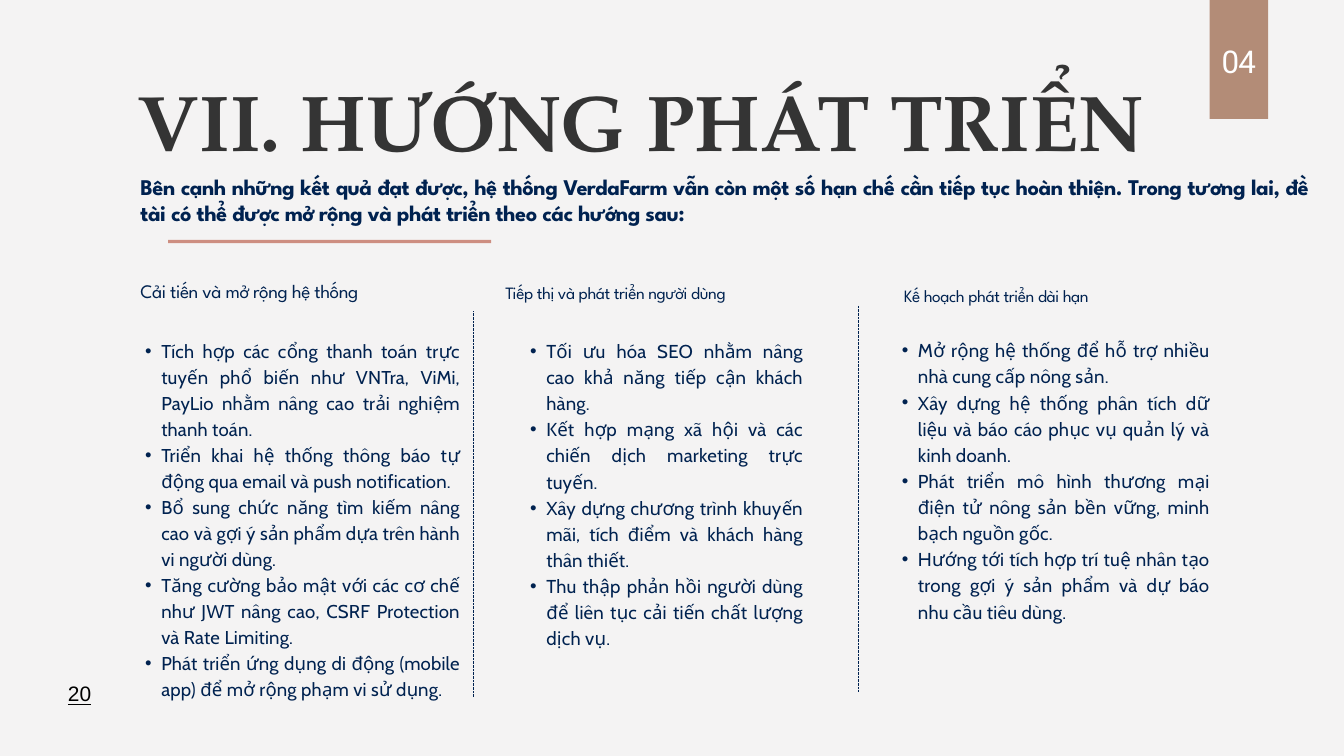
from collections import namedtuple
from dataclasses import dataclass

from lxml import etree
from pptx import Presentation
from pptx import util as u
from pptx.dml import color
from pptx.enum import dml, shapes, text
from pptx.oxml import ns

WIDE, HIGH = u.Inches(20), u.Inches(11.25)
COLS, ROWS = 20, 45

Box = namedtuple("Box", "x y w h")
Type = namedtuple("Type", "font size lead tint track bold line", defaults=(0, False, False))


@dataclass(frozen=True)
class Theme:
    back: str = "F4F3F3"
    navy: str = "002250"
    rose: str = "CD8E81"
    tan: str = "B38C77"
    title: Type = Type("TeX Gyre Pagella", 84.7, 118.6, "343434", 0, True)
    intro: Type = Type("League Spartan", 24, 28.3, "002250", -0.5, True)
    large: Type = Type("League Spartan", 20.5, 24.2, "002250", -0.4)
    small: Type = Type("League Spartan", 18.5, 21.9, "002250", -0.4)
    dense: Type = Type("Cabin", 19.9, 27.9, "002250", 0.2)
    body: Type = Type("Cabin", 20, 28, "002250", 0.2)
    tag: Type = Type("Roboto", 33.6, 32.6, "FFFFFF", -1.1)
    page: Type = Type("Arial", 22.4, 31.4, "000000", 0, False, True)


THEME = Theme()
JUST, MID = text.PP_ALIGN.JUSTIFY, text.PP_ALIGN.CENTER

COLUMNS = [
    dict(
        box=Box(1.93, 20, 4.92, 23.08), head="Cải tiến và mở rộng hệ thống",
        shift=(0.16, -3.36), width=4.42, kinds=(THEME.large, THEME.dense), rule=(5.12, -1.48),
        items=[
            "Tích hợp các cổng thanh toán trực tuyến phổ biến như VNTra, ViMi, PayLio nhằm nâng cao trải nghiệm thanh toán.",
            "Triển khai hệ thống thông báo tự động qua email và push notification.",
            "Bổ sung chức năng tìm kiếm nâng cao và gợi ý sản phẩm dựa trên hành vi người dùng.",
            "Tăng cường bảo mật với các cơ chế như JWT nâng cao, CSRF Protection và Rate Limiting.",
            "Phát triển ứng dụng di động (mobile app) để mở rộng phạm vi sử dụng.",
        ],
    ),
    dict(
        box=Box(7.66, 20, 4.29, 16.92), head="Tiếp thị và phát triển người dùng",
        shift=(-0.14, -3.2), width=4.57, kinds=(THEME.small, THEME.body), rule=(5.11, -1.8),
        items=[
            "Tối ưu hóa SEO nhằm nâng cao khả năng tiếp cận khách hàng.",
            "Kết hợp mạng xã hội và các chiến dịch marketing trực tuyến.",
            "Xây dựng chương trình khuyến mãi, tích điểm và khách hàng thân thiết.",
            "Thu thập phản hồi người dùng để liên tục cải tiến chất lượng dịch vụ.",
        ],
    ),
    dict(
        box=Box(13.19, 19.96, 4.81, 18.48), head="Kế hoạch phát triển dài hạn",
        shift=(0.26, -2.96), width=3.76, kinds=(THEME.small, THEME.body), rule=None,
        items=[
            "Mở rộng hệ thống để hỗ trợ nhiều nhà cung cấp nông sản.",
            "Xây dựng hệ thống phân tích dữ liệu và báo cáo phục vụ quản lý và kinh doanh.",
            "Phát triển mô hình thương mại điện tử nông sản bền vững, minh bạch nguồn gốc.",
            "Hướng tới tích hợp trí tuệ nhân tạo trong gợi ý sản phẩm và dự báo nhu cầu tiêu dùng.",
        ],
    ),
]


def col(n):
    return round(WIDE * n / COLS)


def row(n):
    return round(HIGH * n / ROWS)


def place(box):
    return col(box.x), row(box.y), col(box.w), row(box.h)


def rgb(code):
    return color.RGBColor.from_string(code)


def bullet(para):
    para.level = 1
    props = para._p.get_or_add_pPr()
    props.set("marL", str(col(0.47)))
    props.set("indent", str(col(-0.24)))
    etree.SubElement(props, ns.qn("a:buFont")).set("typeface", "Arial")
    etree.SubElement(props, ns.qn("a:buChar")).set("char", "•")


def fill_text(shape, lines, kind, align=JUST, dots=False):
    frame = shape.text_frame
    frame.text = "\n".join(lines)
    frame.word_wrap = True
    frame.auto_size = text.MSO_AUTO_SIZE.NONE
    frame.vertical_anchor = text.MSO_ANCHOR.TOP
    frame.margin_left = frame.margin_right = frame.margin_top = frame.margin_bottom = 0
    for para in frame.paragraphs:
        if dots:
            bullet(para)
        para.alignment = align
        para.line_spacing = u.Pt(kind.lead)
        para.space_before = u.Pt(0)
        for run in para.runs:
            font = run.font
            font.name, font.size, font.bold = kind.font, u.Pt(kind.size), kind.bold
            font.underline = kind.line
            font.color.rgb = rgb(kind.tint)
            run._r.get_or_add_rPr().set("spc", str(round(kind.track * 100)))


def add_text(slide, box, lines, kind, **more):
    fill_text(slide.shapes.add_textbox(*place(box)), lines, kind, **more)


def add_block(slide, box, tint):
    block = slide.shapes.add_shape(shapes.MSO_SHAPE.RECTANGLE, *place(box))
    block.shadow.inherit = False
    block.fill.solid()
    block.fill.fore_color.rgb = rgb(tint)
    block.line.fill.background()


def add_rule(slide, x, y, length):
    rule = slide.shapes.add_connector(
        shapes.MSO_CONNECTOR.STRAIGHT, col(x), row(y), col(x), row(y + length))
    rule.line.color.rgb = rgb(THEME.navy)
    rule.line.width = u.Pt(0.75)
    rule.line.dash_style = dml.MSO_LINE.ROUND_DOT
    etree.SubElement(rule._element.spPr, ns.qn("a:effectLst"))


def add_header(slide, box):
    title = slide.shapes.title
    title.left, title.top, title.width, title.height = place(box._replace(h=6.88))
    fill_text(title, ["VII. HƯỚNG PHÁT TRIỂN"], THEME.title)
    intro = (
        "Bên cạnh những kết quả đạt được, hệ thống VerdaFarm vẫn còn một số hạn chế "
        "cần tiếp tục hoàn thiện. Trong tương lai, đề tài có thể được mở rộng và phát "
        "triển theo các hướng sau:")
    add_text(slide, Box(box.x + 0.04, box.y + 6.96, 17.38, 3.12), [intro], THEME.intro)
    add_block(slide, Box(box.x + 0.45, box.y + box.h, 4.81, 0.2), THEME.rose)


def add_column(slide, box, head, shift, width, kinds, rule, items):
    top, main = kinds
    add_text(slide, Box(box.x + shift[0], box.y + shift[1], width, 1.3), [head], top)
    add_text(slide, box, items, main, dots=True)
    if rule:
        add_rule(slide, box.x + rule[0], box.y + rule[1], 22.96)


def add_tag(slide, box):
    add_block(slide, box, THEME.tan)
    add_text(slide, Box(box.x, box.y + 3.72, box.w, 2), ["04"], THEME.tag, align=MID)


def main():
    deck = Presentation()
    deck.slide_width, deck.slide_height = WIDE, HIGH
    slide = deck.slides.add_slide(deck.slide_layouts.get_by_name("Title Only"))
    slide.background.fill.solid()
    slide.background.fill.fore_color.rgb = rgb(THEME.back)
    add_header(slide, Box(2.05, 3.36, 16.83, 10.92))
    for part in COLUMNS:
        add_column(slide, **part)
    add_tag(slide, Box(18, -0.8, 0.87, 7.88))
    add_text(slide, Box(0.98, 40.28, 0.41, 1.68), ["20"], THEME.page, align=MID)
    deck.save("out.pptx")


if __name__ == "__main__":
    main()
